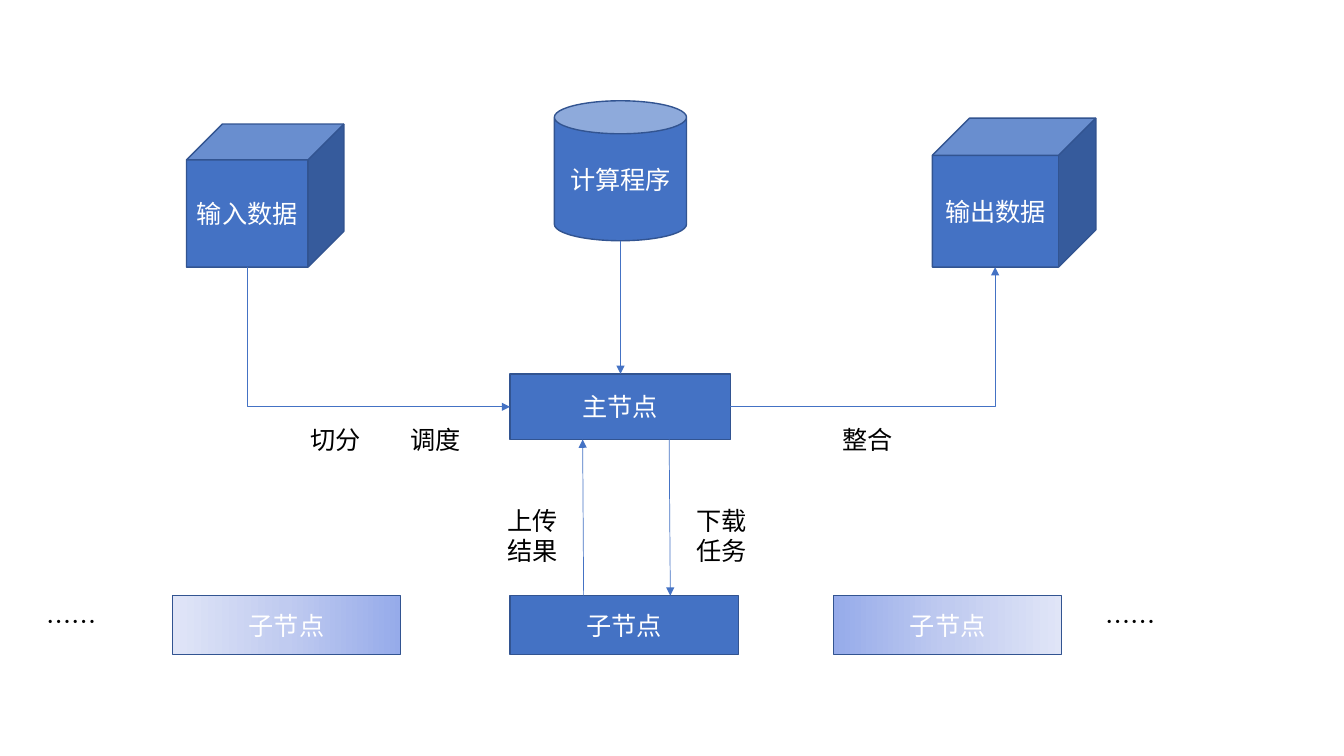
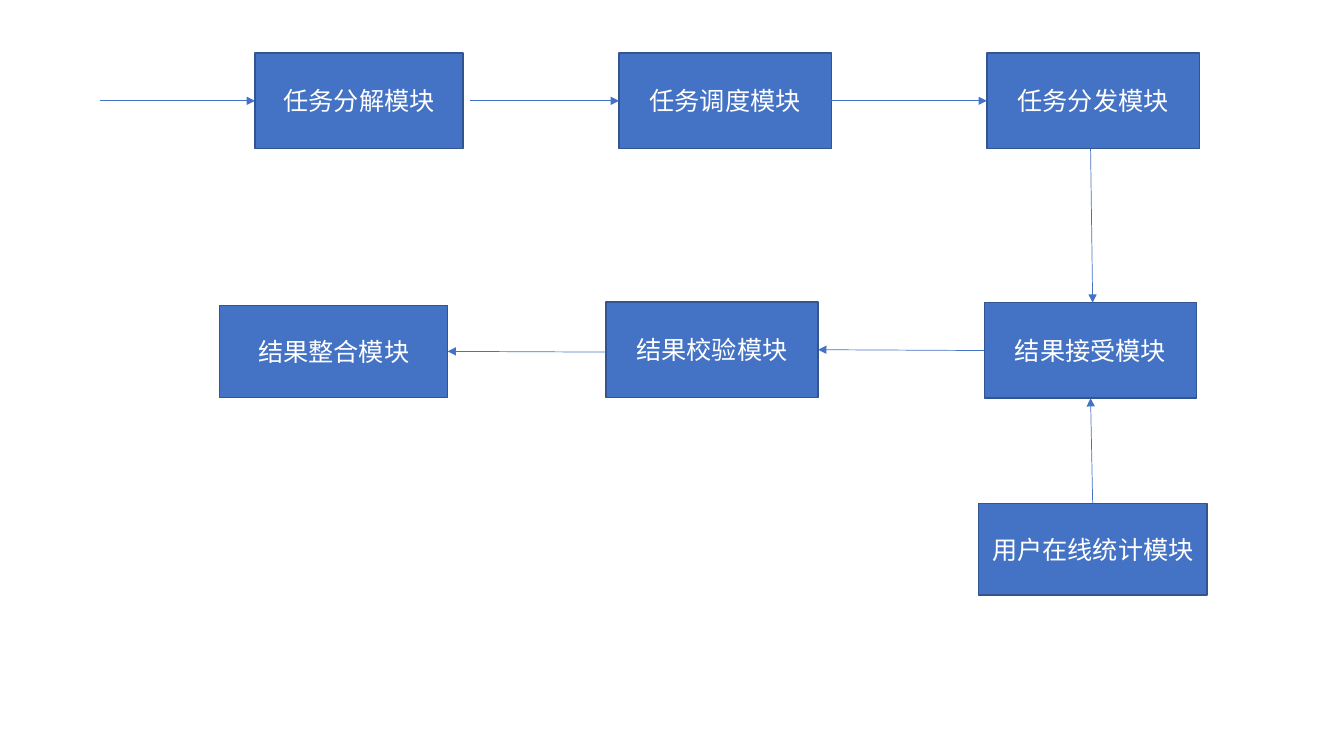
from copy import deepcopy

from lxml.etree import SubElement
from pptx import Presentation
from pptx.dml.color import RGBColor
from pptx.enum.shapes import MSO_CONNECTOR, MSO_SHAPE
from pptx.enum.text import MSO_ANCHOR, MSO_AUTO_SIZE, PP_ALIGN
from pptx.oxml.ns import qn
from pptx.util import Pt

BLANK_LAYOUT = 6


def color(hex_code):
    """Return the RGB colour for a hex string."""
    return RGBColor.from_string(hex_code)


def write(tf, text, size=18, ink="000000", font="Noto Sans CJK SC",
          align=None, anchor=None):
    """Put one formatted paragraph into a text frame."""
    tf.word_wrap = True
    if anchor is not None:
        tf.vertical_anchor = anchor
    p = tf.paragraphs[0]
    p.alignment = align
    r = p.add_run()
    r.text = text
    r.font.size = Pt(size)
    r.font.name = font
    r.font.color.rgb = color(ink)
    SubElement(r.font._element, qn("a:ea"), typeface=font)


class Diagram:
    """Style of the flow charts and the slide being drawn."""

    FILL = "4472C4"
    BORDER = "325491"
    FADE = ("96ABEA", "C0CBF0", "E0E5F7")

    def __init__(self, prs):
        """Keep the presentation."""
        self.prs = prs
        self.s = None

    def new_slide(self):
        """Start a blank slide."""
        self.s = self.prs.slides.add_slide(self.prs.slide_layouts[BLANK_LAYOUT])

    def node(self, text, x, y, w, h, kind=MSO_SHAPE.RECTANGLE, fade=None):
        """Add a labelled shape; fade is the angle of a gradient fill."""
        sp = self.s.shapes.add_shape(kind, Pt(x), Pt(y), Pt(w), Pt(h))
        sp.shadow.inherit = False
        sp.line.color.rgb = color(self.BORDER)
        sp.line.width = Pt(1)
        if fade is None:
            sp.fill.solid()
            sp.fill.fore_color.rgb = color(self.FILL)
        else:
            self.fade(sp, fade)
        write(sp.text_frame, text, ink="FFFFFF", align=PP_ALIGN.CENTER,
              anchor=MSO_ANCHOR.MIDDLE)

    def fade(self, sp, angle):
        """Fill a shape with the three-stop gradient."""
        sp.fill.gradient()
        sp.fill.gradient_angle = angle
        stops = sp._element.spPr.find(".//" + qn("a:gsLst"))
        stops.insert(1, deepcopy(stops[0]))
        for i, (stop, tint) in enumerate(zip(sp.fill.gradient_stops, self.FADE)):
            stop.position = i / 2
            stop.color.rgb = color(tint)

    def label(self, text, x, y, w, h=28.8):
        """Add a free caption."""
        sp = self.s.shapes.add_textbox(Pt(x), Pt(y), Pt(w), Pt(h))
        write(sp.text_frame, text)
        sp.text_frame.auto_size = MSO_AUTO_SIZE.SHAPE_TO_FIT_TEXT

    def arrow(self, x1, y1, x2, y2, elbow=False, tip="tailEnd"):
        """Add an arrow; an elbow runs level first, then upright."""
        kind = MSO_CONNECTOR.ELBOW if elbow else MSO_CONNECTOR.STRAIGHT
        line = self.s.shapes.add_connector(kind, Pt(x1), Pt(y1), Pt(x2), Pt(y2))
        line.line.color.rgb = color(self.FILL)
        line.line.width = Pt(0.5)
        spPr = line._element.spPr
        if elbow:
            spPr.find(qn("a:prstGeom")).set("prst", "bentConnector2")
        SubElement(spPr.find(qn("a:ln")), qn("a:" + tip), type="triangle")
        SubElement(spPr, qn("a:effectLst"))


def node_slide(d):
    """Draw the data flow between the main node and its child nodes."""
    d.new_slide()
    d.node("主节点", 364.4, 267.1, 157.3, 46.8)
    d.node("计算程序", 396, 72, 94.4, 100, MSO_SHAPE.CAN)
    d.node("输入数据", 133.2, 88.6, 112.4, 102.2, MSO_SHAPE.CUBE)
    d.node("输出数据", 666, 84.4, 116.8, 106.4, MSO_SHAPE.CUBE)
    for x, angle in ((123.2, 180), (364.4, None), (595.5, 0)):
        d.node("子节点", x, 425.5, 163, 42, fade=angle)

    d.arrow(443.2, 172, 443.2, 267.1)
    d.arrow(364.4, 290.6, 177, 190.8, elbow=True, tip="headEnd")
    d.arrow(521.7, 290.6, 710.8, 190.8, elbow=True)
    d.arrow(416.9, 425.5, 416.2, 313.9)
    d.arrow(478, 313.9, 478.8, 425.5)

    for text, x, w in (("切分", 214.4, 62.6), ("调度", 286, 69),
                       ("整合", 594.6, 71.3)):
        d.label(text, x, 299.5, w)
    for text, x in (("上传结果", 355.5, ), ("下载任务", 490.4)):
        d.label(text, x, 357.1, 66.2, 51)
    for x in (25.9, 782.6):
        d.label("……", x, 429.8, 85)


def module_slide(d):
    """Draw the chain of task and result modules."""
    d.new_slide()
    for text, x, w in (("任务分解模块", 182.2, 148.6),
                       ("任务调度模块", 442.1, 151.8),
                       ("任务分发模块", 704.9, 151.8)):
        d.node(text, x, 38, w, 68.2)
    d.node("结果接受模块", 703.2, 216.2, 151.6, 68.2)
    d.node("结果校验模块", 432.8, 215.7, 151.6, 68.2)
    d.node("结果整合模块", 157, 218.2, 162.7, 65.6)
    d.node("用户在线统计模块", 699.1, 359.5, 163.2, 65.6)

    for start, end in ((71.2, 182.2), (335.7, 442.1), (593.9, 704.9)):
        d.arrow(start, 72, end, 72)
    d.arrow(779, 106.2, 780.5, 216.2)
    d.arrow(703.2, 250.4, 584.4, 249.8)
    d.arrow(432.8, 251.5, 319.7, 251)
    d.arrow(780.5, 359.5, 779, 284.4)


def main():
    """Build and save the presentation."""
    prs = Presentation()
    prs.slide_width, prs.slide_height = Pt(960), Pt(540)
    d = Diagram(prs)
    node_slide(d)
    module_slide(d)
    prs.save("out.pptx")


main()
